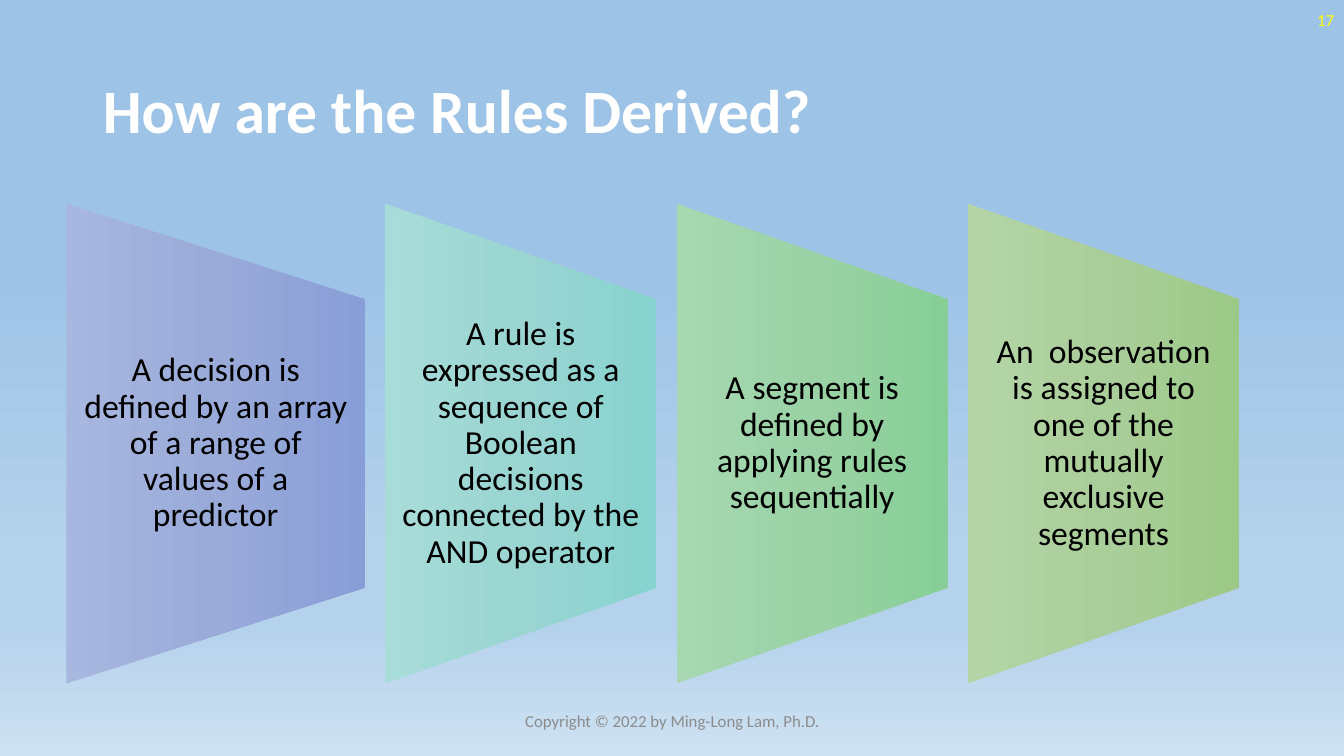
from lxml import etree
from pptx import Presentation
from pptx.dml.color import RGBColor
from pptx.enum.shapes import MSO_SHAPE
from pptx.enum.text import MSO_ANCHOR, PP_ALIGN
from pptx.oxml.ns import qn
from pptx.util import Inches, Pt

TRAPEZOID = MSO_SHAPE.FLOWCHART_MANUAL_OPERATION
MIDDLE = MSO_ANCHOR.MIDDLE
LEFT, CENTER, RIGHT = PP_ALIGN.LEFT, PP_ALIGN.CENTER, PP_ALIGN.RIGHT

FONT = "Calibri"
WHITE = RGBColor(0xFF, 0xFF, 0xFF)
BLACK = RGBColor(0x00, 0x00, 0x00)
GRAY = RGBColor(0x8C, 0x8C, 0x8C)
YELLOW = RGBColor(0xFF, 0xFF, 0x00)
SKY = RGBColor(0x9D, 0xC3, 0xE6)
LIGHT_SKY = RGBColor(0xB5, 0xD2, 0xEC)
PALE_SKY = RGBColor(0xCE, 0xE1, 0xF2)
BLUES = RGBColor(0xA8, 0xB7, 0xDF), RGBColor(0x9A, 0xAB, 0xD9), RGBColor(0x88, 0x9E, 0xD7)
TEALS = RGBColor(0xA8, 0xDC, 0xD9), RGBColor(0x9A, 0xD5, 0xD2), RGBColor(0x87, 0xD3, 0xCF)
GREENS = RGBColor(0xA7, 0xD8, 0xB1), RGBColor(0x9A, 0xD2, 0xA5), RGBColor(0x87, 0xCE, 0x96)
LIMES = RGBColor(0xB5, 0xD5, 0xA7), RGBColor(0xAA, 0xCE, 0x9A), RGBColor(0x9C, 0xC9, 0x87)


def set_gradient(fill, element, stops):
    """Fill top to bottom with (percent, colour) stops; element holds the fill."""
    fill.gradient()
    fill.gradient_angle = 270
    stop_list = element.find(".//" + qn("a:gsLst"))
    for old_stop in list(stop_list):
        stop_list.remove(old_stop)
    for percent, color in stops:
        stop = etree.SubElement(stop_list, qn("a:gs"), pos=str(percent * 1000))
        etree.SubElement(stop, qn("a:srgbClr"), val=str(color))


def write_text(shape, text, size, color, alignment):
    text_frame = shape.text_frame
    text_frame.text = text
    text_frame.word_wrap = True
    text_frame.vertical_anchor = MIDDLE
    paragraph = text_frame.paragraphs[0]
    paragraph.alignment = alignment
    font = paragraph.runs[0].font
    font.name = FONT
    font.size = Pt(size)
    font.color.rgb = color
    return paragraph


presentation = Presentation()
presentation.slide_width = Inches(13.33)
presentation.slide_height = Inches(7.5)
slide = presentation.slides.add_slide(presentation.slide_layouts[5])
set_gradient(slide.background.fill, slide.element,
             [(35, SKY), (74, LIGHT_SKY), (83, LIGHT_SKY), (100, PALE_SKY)])

title = slide.shapes.title
title.left, title.top = Inches(0.92), Inches(0.47)
title.width, title.height = Inches(11.5), Inches(1.32)
title_paragraph = write_text(title, "How are the Rules Derived?", 44, WHITE, LEFT)
title_paragraph.line_spacing = 0.9
title_paragraph.runs[0].font.bold = True

# Each step: text, width, gradient colours
steps = [
    ("A decision is defined by an array of a range of values of a predictor", 2.96, BLUES),
    ("A rule is expressed as a sequence of Boolean decisions connected by the AND operator",
     2.69, TEALS),
    ("A segment is defined by applying rules sequentially", 2.69, GREENS),
    ("An  observation is assigned to one of the mutually exclusive segments", 2.69, LIMES),
]
GAP = 0.2
MIDDLE_Y = 4.4
PANEL_HEIGHT = 4.76
TEXT_HEIGHT = 2.86

step_group = slide.shapes.add_group_shape()
left = 0.66
for text, width, colors in steps:
    # The trapezoid is turned on its side, so its width becomes the panel height
    panel = step_group.shapes.add_shape(
        TRAPEZOID, Inches(left + (width - PANEL_HEIGHT) / 2), Inches(MIDDLE_Y - width / 2),
        Inches(PANEL_HEIGHT), Inches(width))
    panel.rotation = 270
    panel.shadow.inherit = False
    panel.line.fill.background()
    set_gradient(panel.fill, panel.element, zip((0, 50, 100), colors))

    text_box = step_group.shapes.add_textbox(
        Inches(left), Inches(MIDDLE_Y - TEXT_HEIGHT / 2), Inches(width), Inches(TEXT_HEIGHT))
    text_frame = text_box.text_frame
    text_frame.margin_left = text_frame.margin_right = Inches(0.17)
    text_frame.margin_top = text_frame.margin_bottom = 0
    write_text(text_box, text, 24, BLACK, CENTER).line_spacing = 0.9
    left += width + GAP

copyright_box = slide.shapes.add_textbox(Inches(4.42), Inches(6.95), Inches(4.5), Inches(0.4))
write_text(copyright_box, "Copyright © 2022 by Ming-Long Lam, Ph.D.", 12, GRAY, CENTER)

number_box = slide.shapes.add_textbox(Inches(10.33), 0, Inches(3), Inches(0.4))
write_text(number_box, "17", 12, YELLOW, RIGHT)

presentation.save("out.pptx")
